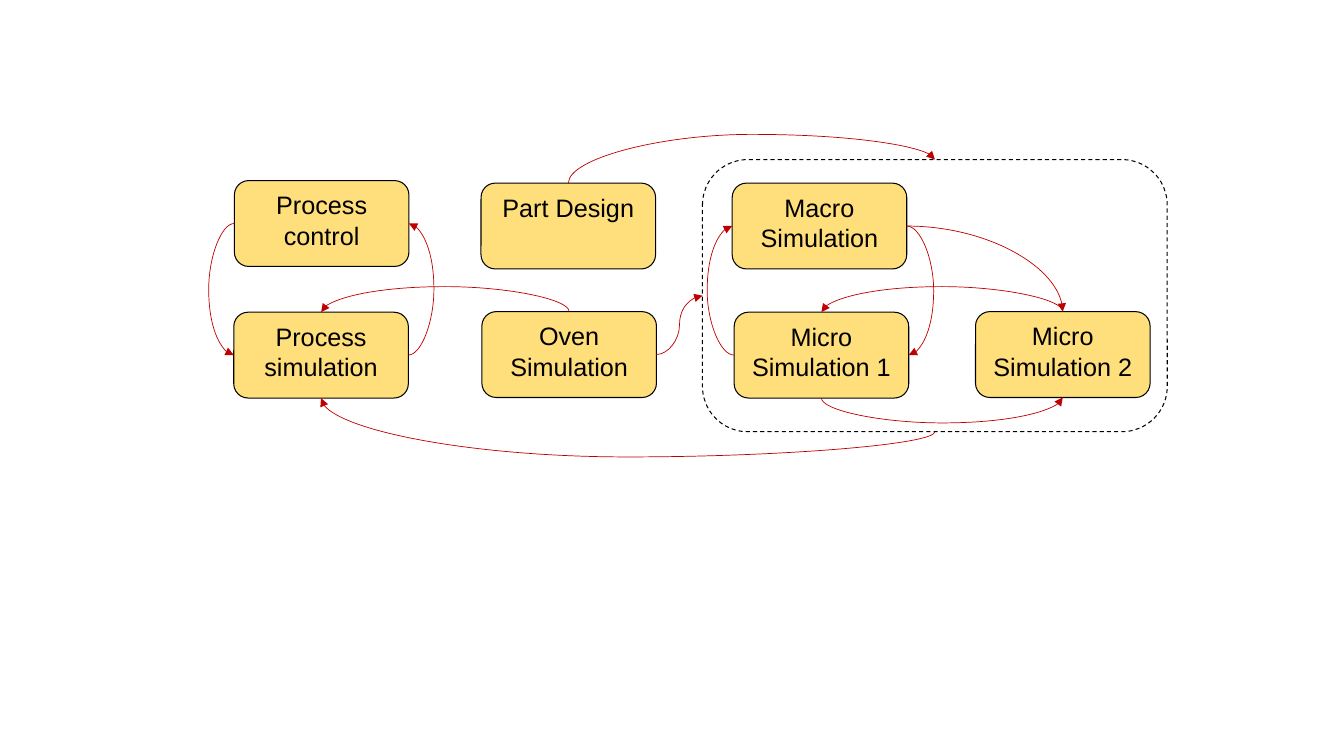
from dataclasses import dataclass

from lxml import etree
from pptx import Presentation
from pptx.dml.color import RGBColor
from pptx.enum.dml import MSO_LINE
from pptx.enum.shapes import MSO_CONNECTOR, MSO_SHAPE
from pptx.enum.text import MSO_ANCHOR, PP_ALIGN
from pptx.oxml.ns import qn
from pptx.util import Pt

ROUNDED = MSO_SHAPE.ROUNDED_RECTANGLE
CURVE = MSO_CONNECTOR.CURVE
DASH = MSO_LINE.DASH
TOP_ANCHOR = MSO_ANCHOR.TOP
CENTER = PP_ALIGN.CENTER
TOP, LEFT, BOTTOM, RIGHT = range(4)  # connection sites of a rectangle

BOX_WIDTH, BOX_HEIGHT = 124.7, 61.3
BULGE = 18  # how far a looping arrow swings out


@dataclass(frozen=True)
class Theme:
    font: str = "Arial"
    text_size: float = 18
    text: RGBColor = RGBColor(0, 0, 0)
    box: RGBColor = RGBColor(0xFF, 0xD9, 0x66)
    box_opacity: int = 85
    outline: RGBColor = RGBColor(0, 0, 0)
    outline_width: float = 0.75
    arrow: RGBColor = RGBColor(0xC0, 0, 0)
    arrow_width: float = 0.5


THEME = Theme()

# Name: left, top
BOXES = {
    "Process control": (167.4, 129),
    "Part Design": (343.6, 130.8),
    "Process simulation": (167, 223),
    "Oven Simulation": (344.2, 222.6),
    "Macro Simulation": (523, 130.8),
    "Micro Simulation 1": (524.4, 223),
    "Micro Simulation 2": (696.8, 222.6),
}
CLUSTER = "Cluster"
CLUSTER_FRAME = (501.8, 114, 332, 194.4)

# Start, side, end, side
LINKS = [
    ("Process control", LEFT, "Process simulation", LEFT),
    ("Process simulation", RIGHT, "Process control", RIGHT),
    ("Part Design", TOP, CLUSTER, TOP),
    ("Oven Simulation", RIGHT, CLUSTER, LEFT),
    (CLUSTER, BOTTOM, "Process simulation", BOTTOM),
    ("Macro Simulation", RIGHT, "Micro Simulation 2", TOP),
    ("Micro Simulation 1", BOTTOM, "Micro Simulation 2", BOTTOM),
    ("Micro Simulation 2", TOP, "Micro Simulation 1", TOP),
    ("Micro Simulation 1", LEFT, "Macro Simulation", LEFT),
    ("Macro Simulation", RIGHT, "Micro Simulation 1", RIGHT),
    ("Oven Simulation", TOP, "Process simulation", TOP),
]


def add_frame(slide, left, top, width, height):
    """Add an unfilled rounded rectangle with a thin outline."""
    shape = slide.shapes.add_shape(ROUNDED, Pt(left), Pt(top), Pt(width), Pt(height))
    shape.shadow.inherit = False
    shape.fill.background()
    shape.line.color.rgb = THEME.outline
    shape.line.width = Pt(THEME.outline_width)
    return shape


def write_text(shape, text, *, size=THEME.text_size, color=THEME.text,
               align=CENTER, anchor=TOP_ANCHOR):
    frame = shape.text_frame
    frame.word_wrap = True
    frame.vertical_anchor = anchor
    paragraph = frame.paragraphs[0]
    paragraph.alignment = align
    run = paragraph.add_run()
    run.text = text
    run.font.name = THEME.font
    run.font.size = Pt(size)
    run.font.color.rgb = color


def add_box(slide, text, left, top):
    """Add a labelled, slightly transparent process box."""
    box = add_frame(slide, left, top, BOX_WIDTH, BOX_HEIGHT)
    box.fill.solid()
    box.fill.fore_color.rgb = THEME.box
    color = box.element.spPr.find(qn("a:solidFill"))[0]
    etree.SubElement(color, qn("a:alpha"), val=str(THEME.box_opacity * 1000))
    write_text(box, text)
    return box


def side_point(shape, side):
    """Return the middle of one side of a shape."""
    across, down = {TOP: (1, 0), LEFT: (0, 1), BOTTOM: (1, 2), RIGHT: (2, 1)}[side]
    return (shape.left + shape.width * across // 2,
            shape.top + shape.height * down // 2)


def bend_position(start, end, start_side, end_side):
    """Return where the curve turns, measured along its leaving direction."""
    if start_side != end_side:
        return (start + end) / 2
    if start_side in (TOP, LEFT):
        return min(start, end) - Pt(BULGE)
    return max(start, end) + Pt(BULGE)


def add_link(slide, start, start_side, end, end_side):
    """Join two shapes by a curved arrow."""
    x1, y1 = side_point(start, start_side)
    x2, y2 = side_point(end, end_side)
    connector = slide.shapes.add_connector(CURVE, x1, y1, x2, y2)
    connector.begin_connect(start, start_side)
    connector.end_connect(end, end_side)
    connector.line.color.rgb = THEME.arrow
    connector.line.width = Pt(THEME.arrow_width)
    properties = connector.element.spPr
    etree.SubElement(properties.find(qn("a:ln")), qn("a:tailEnd"), type="triangle")
    etree.SubElement(properties, qn("a:effectLst"))

    # A curve leaving up or down is a horizontal one turned by 90 degrees
    upright = start_side in (TOP, BOTTOM)
    along, across = (y2 - y1, x1 - x2) if upright else (x2 - x1, y2 - y1)
    connector.width, connector.height = abs(along), abs(across)
    connector.left = (x1 + x2 - abs(along)) // 2
    connector.top = (y1 + y2 - abs(across)) // 2
    transform = properties.find(qn("a:xfrm"))
    transform.set("rot", str(90 * 60000 if upright else 0))
    transform.set("flipH", str(int(along < 0)))
    transform.set("flipV", str(int(across < 0)))

    geometry = properties.find(qn("a:prstGeom"))
    if upright != (end_side in (TOP, BOTTOM)):
        geometry.set("prst", "curvedConnector2")
        return
    origin, target = (y1, y2) if upright else (x1, x2)
    bend = bend_position(origin, target, start_side, end_side)
    ratio = round((bend - origin) / along * 100000)
    guides = geometry.find(qn("a:avLst"))
    etree.SubElement(guides, qn("a:gd"), name="adj1", fmla=f"val {ratio}")


def main():
    presentation = Presentation()
    presentation.slide_width, presentation.slide_height = Pt(960), Pt(540)
    slide = presentation.slides.add_slide(presentation.slide_layouts[6])

    # Process boxes and the dashed simulation cluster
    shapes = {name: add_box(slide, name, *place) for name, place in BOXES.items()}
    shapes[CLUSTER] = add_frame(slide, *CLUSTER_FRAME)
    shapes[CLUSTER].line.dash_style = DASH

    # Data flow
    for start, start_side, end, end_side in LINKS:
        add_link(slide, shapes[start], start_side, shapes[end], end_side)

    presentation.save("out.pptx")


if __name__ == "__main__":
    main()
